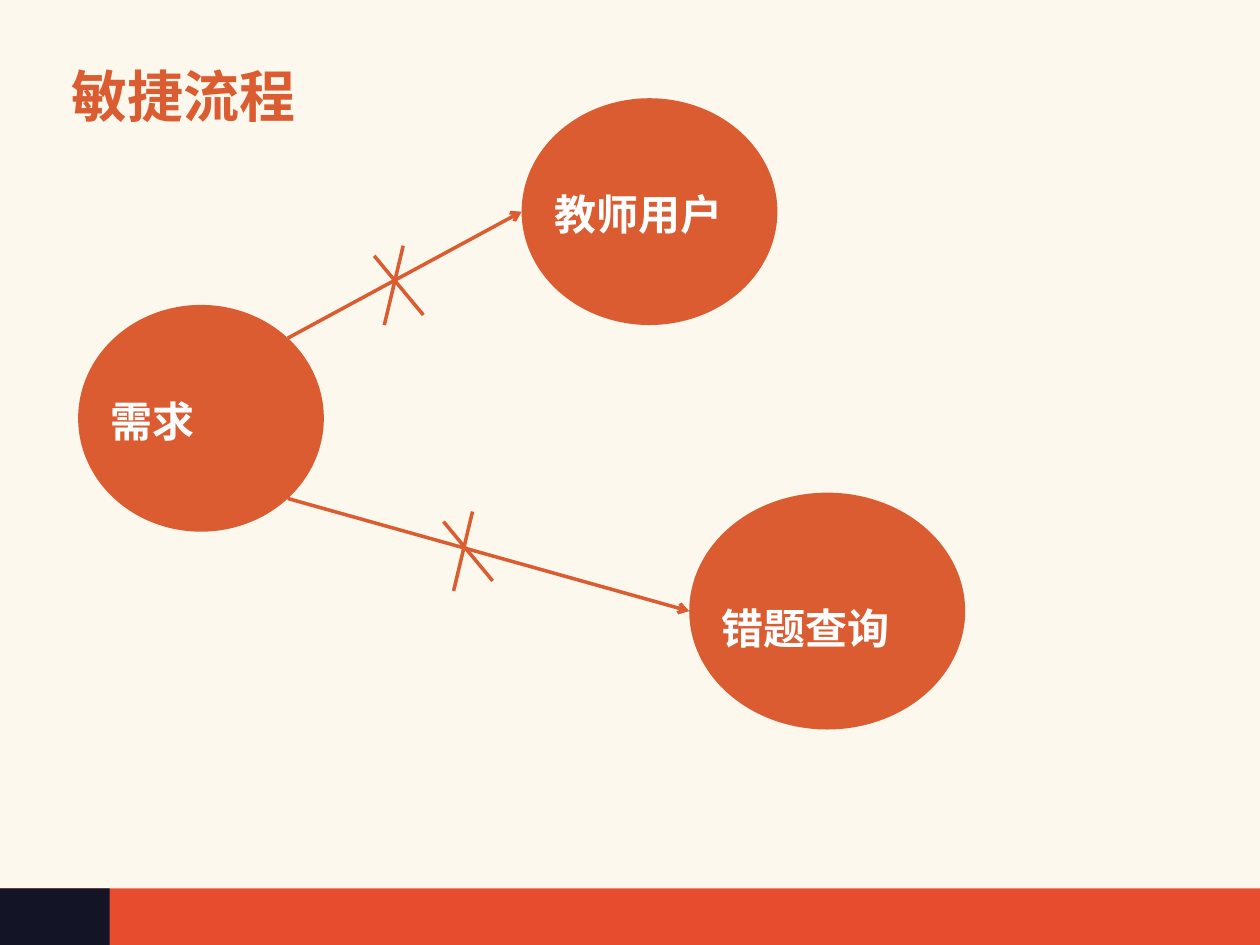
import math

import pptx
import pptx.dml.color
import pptx.enum.shapes
import pptx.enum.text
import pptx.oxml.ns
import pptx.util
from pptx.util import Inches

CREAM = pptx.dml.color.RGBColor(0xFC, 0xF8, 0xED)
RED = pptx.dml.color.RGBColor(0xE7, 0x4C, 0x2E)
NAVY = pptx.dml.color.RGBColor(0x13, 0x14, 0x26)
ORANGE = pptx.dml.color.RGBColor(0xDC, 0x5C, 0x31)
WHITE = pptx.dml.color.RGBColor(0xFF, 0xFF, 0xFF)
CJK_FONT = "Noto Sans CJK SC"
SHAPES = pptx.enum.shapes.MSO_SHAPE
ANCHORS = pptx.enum.text.MSO_ANCHOR


def add_filled(slide, kind, box, color):
    shape = slide.shapes.add_shape(kind, *map(Inches, box))
    shape.shadow.inherit = False
    shape.fill.solid()
    shape.fill.fore_color.rgb = color
    shape.line.fill.background()


def add_text(slide, box, text, size, color, font, spacing, anchor):
    text_box = slide.shapes.add_textbox(*map(Inches, box))
    frame = text_box.text_frame
    frame.word_wrap = True
    frame.vertical_anchor = anchor
    paragraph = frame.paragraphs[0]
    paragraph.line_spacing = spacing
    run = paragraph.add_run()
    run.text = text
    run.font.name = font
    run.font.size = pptx.util.Pt(size)
    run.font.bold = True
    run.font.color.rgb = color
    # East Asian typeface for the Chinese characters
    east_asian = pptx.oxml.parse_xml(
        f'<a:ea {pptx.oxml.ns.nsdecls("a")} typeface="{CJK_FONT}"/>')
    run.font._element.append(east_asian)


def add_line(slide, start, end, arrow=False):
    connector = slide.shapes.add_connector(
        pptx.enum.shapes.MSO_CONNECTOR.STRAIGHT, *map(Inches, start + end))
    connector.line.color.rgb = ORANGE
    connector.line.width = pptx.util.Pt(2)
    namespace = pptx.oxml.ns.nsdecls("a")
    if arrow:
        connector.line._get_or_add_ln().append(
            pptx.oxml.parse_xml(f'<a:tailEnd {namespace} type="arrow"/>'))
    connector._element.spPr.append(
        pptx.oxml.parse_xml(f"<a:effectLst {namespace}/>"))


def add_background(slide, width, height):
    footer_top = 7.05
    footer_height = height - footer_top
    add_filled(slide, SHAPES.RECTANGLE, (0, 0, width, height), CREAM)
    add_filled(slide, SHAPES.RECTANGLE, (0, footer_top, width, footer_height), RED)
    add_filled(slide, SHAPES.RECTANGLE, (0, footer_top, 0.87, footer_height), NAVY)


def add_title(slide, box):
    add_text(slide, box, "敏捷流程", 32, ORANGE, CJK_FONT, 0.9, ANCHORS.BOTTOM)


def add_node(slide, box, text, label_drop):
    left, top, _, _ = box
    add_filled(slide, SHAPES.OVAL, box, ORANGE)
    add_text(slide, (left + 0.16, top + label_drop, 1.56, 0.57), text,
             24, WHITE, "Arial", 1.3, ANCHORS.TOP)


def add_flow_arrow(slide, source, target, side):
    """Arrow from the source's right diagonal (side -1 up, 1 down) to the target's left."""
    left, top, width, height = source
    diagonal = math.sqrt(0.5)
    start = (left + width / 2 * (1 + diagonal),
             top + height / 2 * (1 + side * diagonal))
    end = (target[0], target[1] + target[3] / 2)
    add_line(slide, start, end, arrow=True)


def add_cross(slide, left, top):
    add_line(slide, (left, top + 0.08), (left + 0.39, top + 0.55))
    add_line(slide, (left + 0.23, top), (left + 0.08, top + 0.63))


def main():
    presentation = pptx.Presentation()
    presentation.slide_width = Inches(10)
    presentation.slide_height = Inches(7.5)
    slide = presentation.slides.add_slide(presentation.slide_layouts[6])

    add_background(slide, 10, 7.5)
    add_title(slide, (0.47, 0.37, 9.07, 0.71))

    # Requirement and its two targets
    requirement = (0.62, 2.42, 1.95, 1.8)
    teacher = (4.14, 0.78, 2.03, 1.8)
    mistakes = (5.47, 3.91, 2.19, 1.88)
    add_node(slide, requirement, "需求", 0.55)
    add_node(slide, teacher, "教师用户", 0.55)
    add_node(slide, mistakes, "错题查询", 0.7)

    # Arrows, each crossed out
    add_flow_arrow(slide, requirement, teacher, -1)
    add_flow_arrow(slide, requirement, mistakes, 1)
    add_cross(slide, 2.97, 1.95)
    add_cross(slide, 3.52, 4.06)

    presentation.save("out.pptx")


if __name__ == "__main__":
    main()
